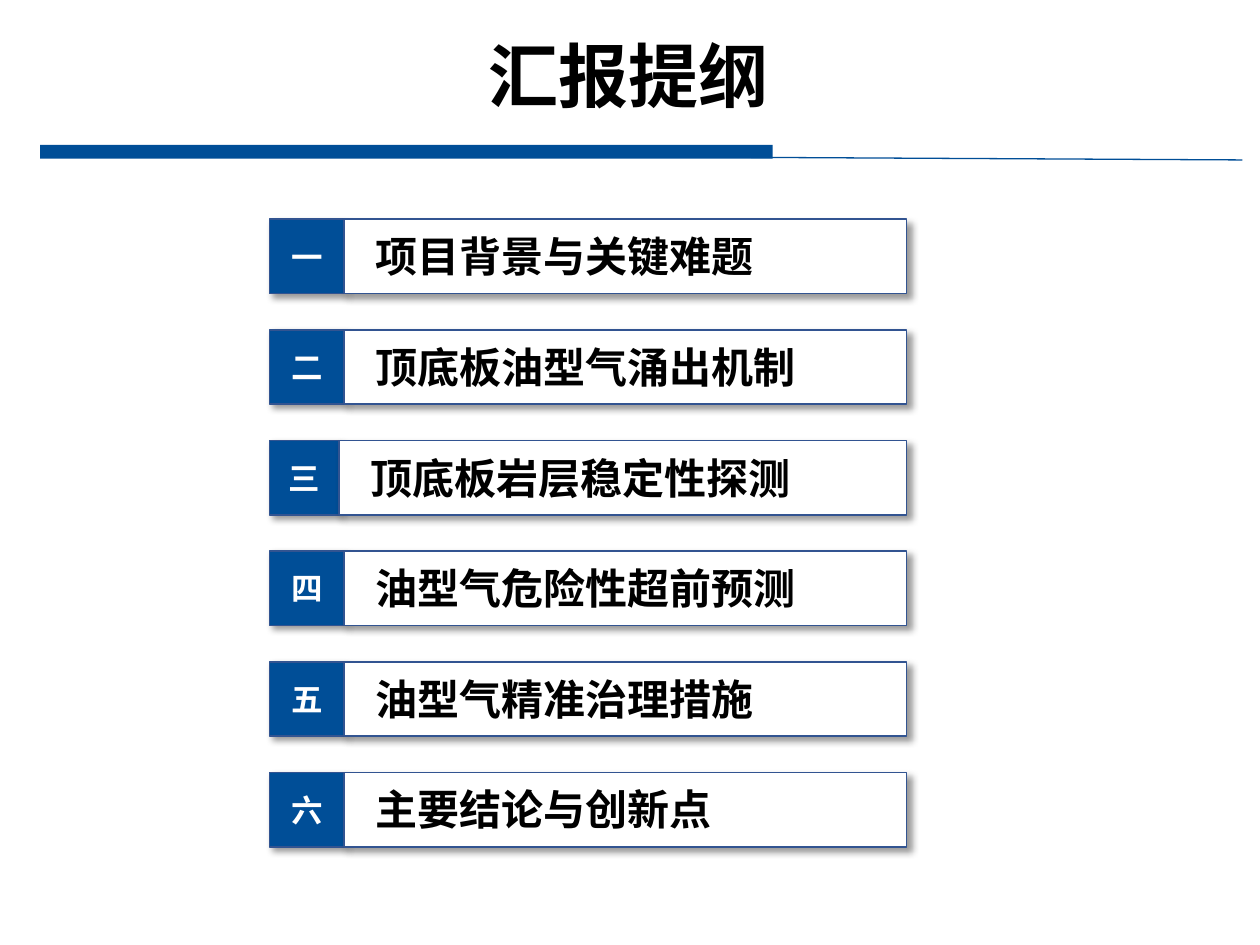
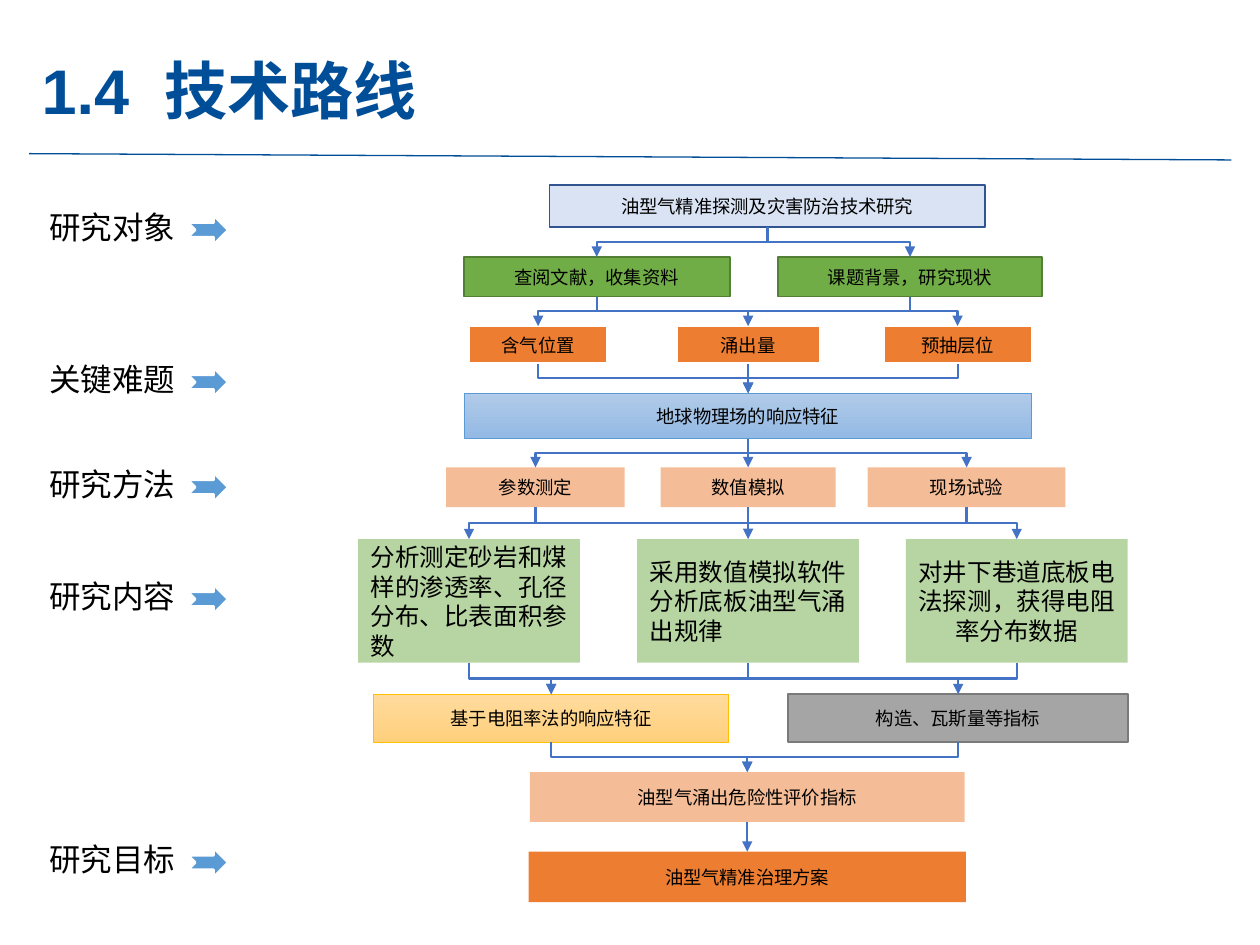
from dataclasses import dataclass

from lxml.etree import SubElement
from pptx import Presentation
from pptx.dml.color import RGBColor
from pptx.enum.shapes import MSO_CONNECTOR as Link, MSO_SHAPE as Kind
from pptx.enum.text import MSO_ANCHOR as Anchor, MSO_AUTO_SIZE as Auto, PP_ALIGN as Align
from pptx.oxml.ns import qn
from pptx.util import Pt


@dataclass(frozen=True)
class Theme:
    navy: str = "004E97"
    edge: str = "325491"
    wire: str = "4472C4"
    sky: str = "5B9BD5"
    black: str = "000000"
    white: str = "FFFFFF"
    font: str = "Calibri"
    hand: str = "Noto Sans CJK SC"
    head: str = "Arial"
    cover: float = 40
    title: float = 36
    item: float = 24
    label: float = 18
    body: float = 14
    node: float = 10.5
    lead: float = 17


@dataclass(frozen=True)
class Look:
    fill: str
    line: str = ""
    weight: float = 1
    alpha: int = 100
    end: str = ""


T = Theme()

TAG = Look(T.navy, T.edge)
CARD = Look(T.white, T.edge)
ARROW = Look(T.sky, T.white, 1.5)
PALE = Look("DAE3F3", T.edge)
GREEN = Look("70AD47", "538035")
ORANGE = Look("ED7D31", T.white, 1.5)
BLUE = Look("B1CBE9", T.sky, 0.5, end="93B9E4")
PEACH = Look("ED7D31", alpha=50)
MINT = Look("70AD47", alpha=50)
GOLD = Look("FFDB9E", "FFC000", 0.5, end="FFD07C")
GRAY = Look("A5A5A5", "7A7A7A")
GOAL = Look("ED7D31")

# number, text, text width, left shift
TOPICS = [
    ("一", "项目背景与关键难题", 249, 0),
    ("二", "顶底板油型气涌出机制", 270, 0),
    ("三", "顶底板岩层稳定性探测", 315, 3),
    ("四", "油型气危险性超前预测", 284, 0),
    ("五", "油型气精准治理措施", 249, 0),
    ("六", "主要结论与创新点", 249, 0),
]

STAGES = [("研究对象", 0), ("关键难题", 87), ("研究方法", 147),
          ("研究内容", 211), ("研究目标", 361.5)]

# top, height, nodes as (centre, width, look, text)
RANKS = [
    (0, 23.8, [(233.5, 249, PALE, "油型气精准探测及灾害防治技术研究")]),
    (41, 22.7, [(136, 152, GREEN, "查阅文献，收集资料"),
                (315, 151, GREEN, "课题背景，研究现状")]),
    (80.5, 21.6, [(102.5, 79, ORANGE, "含气位置"),
                  (222.5, 82, ORANGE, "涌出量"),
                  (342.2, 85, ORANGE, "预抽层位")]),
    (118.8, 26, [(222.5, 324, BLUE, "地球物理场的响应特征")]),
    (161.3, 22.7, [(101, 102, PEACH, "参数测定"),
                   (222.5, 100, PEACH, "数值模拟"),
                   (347.3, 113, PEACH, "现场试验")]),
    (202.3, 70.6, [
        (63, 126.7, MINT, "分析测定砂岩和煤样的渗透率、孔径分布、比表面积参数"),
        (222.5, 126.7, MINT, "采用数值模拟软件分析底板油型气涌出规律"),
        (376, 126.7, MINT, "对井下巷道底板电法探测，获得电阻率分布数据")]),
    (290.9, 27.5, [(110, 203, GOLD, "基于电阻率法的响应特征"),
                   (342.5, 194, GRAY, "构造、瓦斯量等指标")]),
    (335.4, 28.5, [(222, 248.4, PEACH, "油型气涌出危险性评价指标")]),
    (380.9, 28.8, [(222, 250, GOAL, "油型气精准治理方案")]),
]
STUDY = 5  # the rank with the long texts

# for each rank: (node, node in the next rank)
LINKS = [
    [(0, 1), (0, 0)],
    [(0, 2), (1, 1), (0, 0)],
    [(2, 0), (1, 0), (0, 0)],
    [(0, 2), (0, 0), (0, 1)],
    [(0, 2), (2, 1), (1, 0)],
    [(1, 1), (2, 0), (0, 0)],
    [(0, 0), (1, 0)],
    [(0, 0)],
]


def rgb(code):
    return RGBColor.from_string(code)


def area(x, y, w, h):
    return Pt(x), Pt(y), Pt(w), Pt(h)


def write(shape, runs, size, color=T.black, bold=False, align=Align.LEFT,
          font=T.font, wrap=True, lead=None):
    """Fill a shape with one paragraph; a run is (text, tracking)."""
    frame = shape.text_frame
    frame.auto_size = Auto.NONE
    frame.word_wrap = wrap
    frame.vertical_anchor = Anchor.MIDDLE
    para = frame.paragraphs[0]
    para.alignment = align
    if lead:
        para.line_spacing = Pt(lead)
    for text, track in runs:
        run = para.add_run()
        run.text = text
        run.font.size = Pt(size)
        run.font.bold = bold
        run.font.color.rgb = rgb(color)
        run.font.name = font
        props = run.font._element
        SubElement(props, qn("a:ea"), typeface=T.hand)
        if track:
            props.set("spc", str(track * 100))


def draw(slide, kind, box, look):
    shape = slide.shapes.add_shape(kind, *area(*box))
    shape.shadow.inherit = False
    fill = shape.fill
    if look.end:
        fill.gradient()
        fill.gradient_angle = 270
        for stop, code in zip(fill.gradient_stops, (look.fill, look.end)):
            stop.color.rgb = rgb(code)
    else:
        fill.solid()
        fill.fore_color.rgb = rgb(look.fill)
    if look.alpha < 100:
        tint = shape._element.spPr.find(qn("a:solidFill")).find(qn("a:srgbClr"))
        SubElement(tint, qn("a:alpha"), val=str(look.alpha * 1000))
    if look.line:
        shape.line.color.rgb = rgb(look.line)
        shape.line.width = Pt(look.weight)
    else:
        shape.line.fill.background()
    return shape


def shade(shape):
    """Drop a soft shadow to the lower right."""
    effects = shape._element.spPr.find(qn("a:effectLst"))
    outer = SubElement(effects, qn("a:outerShdw"), blurRad=str(Pt(4)), dist=str(Pt(3)),
                       dir=str(45 * 60000), algn="tl", rotWithShape="0")
    tint = SubElement(outer, qn("a:srgbClr"), val=T.black)
    SubElement(tint, qn("a:alpha"), val="40000")


def ink(line, color, weight):
    line.line.color.rgb = rgb(color)
    line.line.width = Pt(weight)
    SubElement(line._element.spPr, qn("a:effectLst"))


def rule(slide, x):
    line = slide.shapes.add_connector(Link.STRAIGHT, Pt(x), Pt(87.8), Pt(x + 687), Pt(91.4))
    ink(line, T.navy, 0.75)


def name(slide, box, runs, size, **style):
    """Place and write the slide title."""
    title = slide.shapes.title
    title.left, title.top, title.width, title.height = area(*box)
    write(title, runs, size, bold=True, **style)


def join(slide, start, end):
    """Run an arrow from the foot of one node to the top of another."""
    line = slide.shapes.add_connector(Link.ELBOW, 0, 0, 0, 0)
    line.begin_connect(start, 2)
    line.end_connect(end, 0)
    x1, x2 = (node.left + node.width // 2 for node in (start, end))
    y1, y2 = start.top + start.height, end.top
    drop, span = y2 - y1, abs(x2 - x1)
    line.left, line.top = (x1 + x2 - drop) // 2, (y1 + y2 - span) // 2
    line.width, line.height = drop, span
    right = x2 > x1
    frame = line._element.spPr.find(qn("a:xfrm"))
    frame.set("rot", str((270 if right else 90) * 60000))
    frame.set("flipH", "1" if right else "0")
    frame.set("flipV", "0")
    ink(line, T.wire, 1.25)
    SubElement(line.line._get_or_add_ln(), qn("a:tailEnd"), type="triangle")


def agenda(slide, box):
    left, top, wide, high = box
    tall, tag = 42.5, 42.7
    step = (high - tall) / (len(TOPICS) - 1)
    for i, (mark, text, width, shift) in enumerate(TOPICS):
        y = top + i * step
        split = tag - shift
        badge = draw(slide, Kind.RECTANGLE, (left, y, split, tall), TAG)
        shade(badge)
        write(badge, [(mark, 0)], T.label, T.white, True, Align.CENTER)
        card = draw(slide, Kind.RECTANGLE, (left + split, y, wide - split, tall), CARD)
        shade(card)
        label = slide.shapes.add_textbox(*area(left + split + 10.7, y + 3, width, 36))
        write(label, [(text, 0)], T.item, bold=True)


def stages(slide, box):
    left, top = box
    for text, drop in STAGES:
        y = top + drop
        label = slide.shapes.add_textbox(*area(left, y, 87, 28.8))
        write(label, [(text, 0)], T.label, wrap=False)
        draw(slide, Kind.NOTCHED_RIGHT_ARROW, (left + 86.4, y + 7.9, 23, 16.6), ARROW)


def flow(slide, box):
    left, top = box
    ranks = []
    for i, (y, high, nodes) in enumerate(RANKS):
        rank = []
        for j, (mid, wide, look, text) in enumerate(nodes):
            node = draw(slide, Kind.RECTANGLE,
                        (left + mid - wide / 2, top + y, wide, high), look)
            if i == STUDY:
                align = Align.JUSTIFY if j < 2 else Align.CENTER
                write(node, [(text, 0)], T.body, align=align, lead=T.lead)
            else:
                write(node, [(text, 0)], T.node, align=Align.CENTER)
            rank.append(node)
        ranks.append(rank)
    for upper, lower, pairs in zip(ranks, ranks[1:], LINKS):
        for a, b in pairs:
            join(slide, upper[a], lower[b])


def outline(slide):
    name(slide, (272, 15, 176.5, 55.5), [("汇报提纲", 0)], T.cover,
         font=T.hand, wrap=False)
    draw(slide, Kind.RECTANGLE, (23, 82.8, 418.5, 7.9), Look(T.navy))
    rule(slide, 23)
    agenda(slide, (154, 125.3, 364, 358.6))


def route(slide):
    rule(slide, 16.6)
    name(slide, (16.6, 26, 344, 50.4), [("1.4", 0), (" ", 10), ("技术路线", 0)],
         T.title, color=T.navy, font=T.head)
    flow(slide, (205, 105.8))
    stages(slide, (21, 115.2))


def main():
    deck = Presentation()
    deck.slide_width, deck.slide_height = Pt(720), Pt(540)
    for build in (outline, route):
        build(deck.slides.add_slide(deck.slide_layouts[5]))
    deck.save("out.pptx")


if __name__ == "__main__":
    main()
